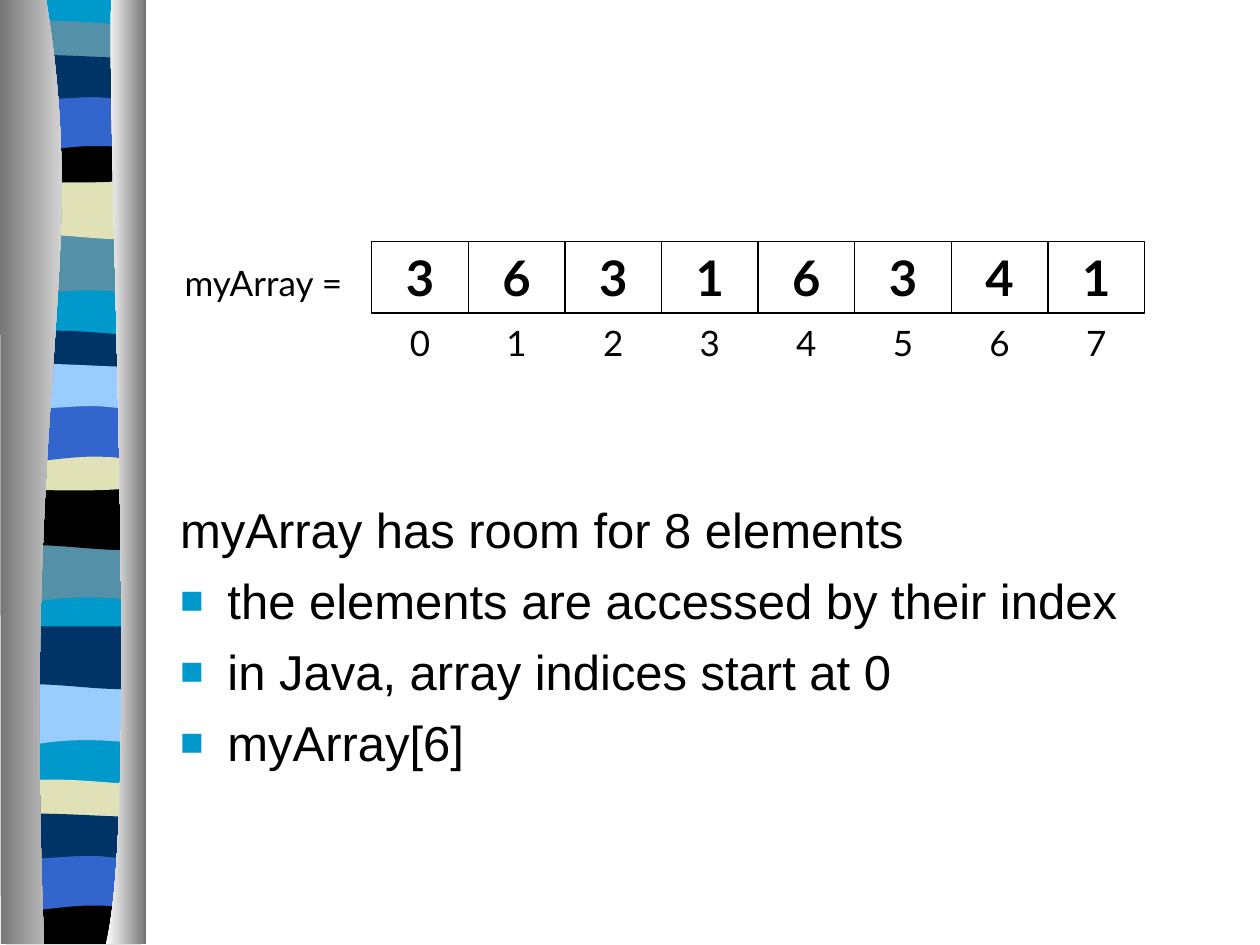
from dataclasses import dataclass

from lxml.etree import SubElement
from pptx import Presentation
from pptx.dml.color import RGBColor
from pptx.enum.shapes import MSO_SHAPE
from pptx.enum.text import MSO_ANCHOR, MSO_AUTO_SIZE, PP_ALIGN
from pptx.oxml.ns import qn
from pptx.shapes.base import BaseShape
from pptx.util import Pt

Point = tuple[float, float]
Step = tuple[float, ...]


@dataclass(frozen=True)
class Theme:
    black: str = "000000"
    cyan: str = "0099CC"
    teal: str = "5490A8"
    sand: str = "E1E1B7"
    blue: str = "3366CC"
    navy: str = "003366"
    sky: str = "99CCFF"
    gray: str = "767676"
    white: str = "FFFFFF"
    body_font: str = "Arial"
    array_font: str = "Lato"
    large: float = 28
    small: float = 20


@dataclass(frozen=True)
class Outline:
    start: Point
    steps: tuple[Step, ...]


@dataclass(frozen=True)
class Band:
    outline: Outline
    top: float
    color: str


@dataclass(frozen=True)
class Run:
    text: str
    size: float
    font: str
    bold: bool = False


T = Theme()

BASE = Outline((77, 0), ((77, 538.5), (0, 538.5), (0, 0)))
EBB = Outline((77, 0), ((77, 34), (23, 27.5, 12, 39, 0, 34), (0, 0)))
SWELL = Outline((77, 0), ((77, 34), (64, 39.5, 24, 30, 0, 34), (0, 0)))
RIBBON = Outline((77, 3.5), ((77, 21), (64, 24, 13, 24, 0, 21), (0, 3.5),
                             (5, 0, 17, 0.5, 29.5, 0.5),
                             (42.5, 0.5, 67.5, 3, 77, 3.5)))
DIP = Outline((77, 0), ((77, 24), (64, 27, 12, 27, 0, 24), (0, 0),
                        (47, 3.5, 60.5, 0, 77, 0)))
FLOOR = Outline((77, 0), ((77, 27), (0, 27), (0, 0), (47, 3.5, 60.5, 0, 77, 0)))
ARCH = Outline((77, 0), ((77, 34), (65, 30, 60, 30, 47.5, 30),
                         (34.5, 30, 11.5, 34, 0, 34), (0, 0)))
CREST = Outline((77, 3.5), ((77, 26), (72, 29.5, 60.5, 26, 47.5, 26),
                            (34.5, 26, 8, 29.5, 0, 26), (0, 3.5),
                            (11, 0, 52.5, 3.5, 65, 3.5),
                            (77.5, 3.5, 74, 3.5, 77, 3.5)))
LEFT_EDGE = Outline((26.3, 0), ((52, 156, 12.5, 213.5, 25.2, 540), (0.5, 540), (0, 0)))
RIGHT_EDGE = Outline((63.6, 0), ((61, 90.5, 80, 465.5, 60.5, 540),
                                 (83.5, 540), (83.5, 0)))

BAND_GROUPS = {
    5: (Band(BASE, -0.5, T.cyan),
        Band(EBB, 134, T.teal), Band(SWELL, 101, T.sand),
        Band(RIBBON, 11.5, T.teal), Band(DIP, 78, T.black),
        Band(ARCH, 53.5, T.blue), Band(CREST, 29.5, T.navy)),
    4.2: (Band(EBB, 309.5, T.teal), Band(SWELL, 278.5, T.black),
          Band(RIBBON, 188.5, T.navy), Band(DIP, 254, T.sand),
          Band(ARCH, 231, T.blue), Band(CREST, 206, T.sky)),
    3.5: (Band(EBB, 391, T.sky), Band(SWELL, 358, T.navy),
          Band(RIBBON, 445, T.sand), Band(FLOOR, 512.5, T.black),
          Band(ARCH, 487.5, T.blue), Band(CREST, 463, T.navy)),
}

VALUES = (3, 6, 3, 1, 6, 3, 4, 1)
ARRAY_LEFT, ARRAY_TOP, CELL_W, CELL_H = 212.4, 138, 55.2, 41
BODY_LINES = (
    "myArray has room for 8 elements",
    "the elements are accessed by their index",
    "in Java, array indices start at 0",
    "myArray[6]",
)


def bend(sp: BaseShape, steps: tuple[Step, ...]) -> None:
    lines = iter(list(sp._element.iter(qn("a:lnTo"))))
    for step in steps:
        first = next(lines)
        if len(step) == 6:
            first.tag = qn("a:cubicBezTo")
            for _ in range(2):
                extra = next(lines)
                first.append(extra[0])
                extra.getparent().remove(extra)


def add_outline(shapes, outline: Outline, left: float = 0, top: float = 0) -> BaseShape:
    pairs = [outline.start]
    for step in outline.steps:
        pairs += zip(step[::2], step[1::2])
    points = [(Pt(left + x), Pt(top + y)) for x, y in pairs]
    builder = shapes.build_freeform(*points[0])
    builder.add_line_segments(points[1:], close=False)
    sp = builder.convert_to_shape()
    bend(sp, outline.steps)
    SubElement(next(sp._element.iter(qn("a:path"))), qn("a:close"))
    sp.shadow.inherit = False
    sp.line.fill.background()
    return sp


def fill_solid(sp: BaseShape, color: str) -> None:
    sp.fill.solid()
    sp.fill.fore_color.rgb = RGBColor.from_string(color)


def fill_gradient(sp: BaseShape, first: str, last: str) -> None:
    sp.fill.gradient()
    sp.fill.gradient_angle = 0
    for stop, color, position in zip(sp.fill.gradient_stops, (first, last), (0, 1)):
        stop.color.rgb = RGBColor.from_string(color)
        stop.position = position


def add_run(p, run: Run) -> None:
    r = p.add_run()
    r.text = run.text
    r.font.name = run.font
    r.font.size = Pt(run.size)
    r.font.bold = run.bold
    r.font.color.rgb = RGBColor.from_string(T.black)


def write_line(sp: BaseShape, runs: tuple[Run, ...], align: PP_ALIGN) -> None:
    tf = sp.text_frame
    tf.word_wrap = True
    tf.auto_size = MSO_AUTO_SIZE.SHAPE_TO_FIT_TEXT
    tf.vertical_anchor = MSO_ANCHOR.TOP
    p = tf.paragraphs[0]
    p.alignment = align
    for run in runs:
        add_run(p, run)


def set_hanging(p, bullet: bool) -> None:
    pPr = p._p.get_or_add_pPr()
    pPr.set("marL", str(Pt(27)))
    pPr.set("indent", str(-Pt(27)))
    if bullet:
        SubElement(SubElement(pPr, qn("a:buClr")), qn("a:srgbClr"), val=T.cyan)
        SubElement(pPr, qn("a:buSzPct"), val="80000")
        SubElement(pPr, qn("a:buFont"), typeface=T.body_font)
        SubElement(pPr, qn("a:buChar"), char="■")
    else:
        SubElement(pPr, qn("a:buNone"))


def draw_sidebar(s) -> None:
    shapes = s.shapes.add_group_shape().shapes
    for left, bands in BAND_GROUPS.items():
        for band in bands:
            fill_solid(add_outline(shapes, band.outline, left, band.top), band.color)
    fill_gradient(add_outline(shapes, LEFT_EDGE, top=-0.5), T.gray, T.white)
    fill_gradient(add_outline(shapes, RIGHT_EDGE, top=-0.5), T.white, T.gray)


def draw_body(s) -> None:
    tf = s.shapes.add_textbox(Pt(95.9), Pt(282), Pt(594), Pt(192.2)).text_frame
    tf.word_wrap = True
    for i, line in enumerate(BODY_LINES):
        p = tf.add_paragraph() if i else tf.paragraphs[0]
        set_hanging(p, bullet=i > 0)
        if i:
            p.space_before = Pt(7)
        add_run(p, Run(line, T.large, T.body_font))


def draw_array(s) -> None:
    shapes = s.shapes.add_group_shape().shapes
    for i, value in enumerate(VALUES):
        cell = shapes.add_shape(MSO_SHAPE.RECTANGLE, Pt(ARRAY_LEFT + i * CELL_W),
                                Pt(ARRAY_TOP), Pt(CELL_W), Pt(CELL_H))
        cell.shadow.inherit = False
        cell.fill.background()
        cell.line.color.rgb = RGBColor.from_string(T.black)
        cell.line.width = Pt(0.75)
        write_line(cell, (Run(str(value), T.large, T.array_font, True),), PP_ALIGN.CENTER)
    name = shapes.add_textbox(Pt(98.4), Pt(ARRAY_TOP), Pt(113.8), Pt(CELL_H))
    write_line(name, (Run("myArray =", T.small, T.array_font),
                      Run(" ", T.large, T.array_font, True)), PP_ALIGN.LEFT)
    for i in range(len(VALUES)):
        index = shapes.add_textbox(Pt(ARRAY_LEFT + i * CELL_W), Pt(180),
                                   Pt(CELL_W), Pt(31.5))
        write_line(index, (Run(str(i), T.small, T.array_font),), PP_ALIGN.CENTER)


def main() -> None:
    prs = Presentation()
    prs.slide_width, prs.slide_height = Pt(720), Pt(540)
    s = prs.slides.add_slide(prs.slide_layouts[6])
    draw_sidebar(s)
    draw_body(s)
    draw_array(s)
    prs.save("out.pptx")


if __name__ == "__main__":
    main()
